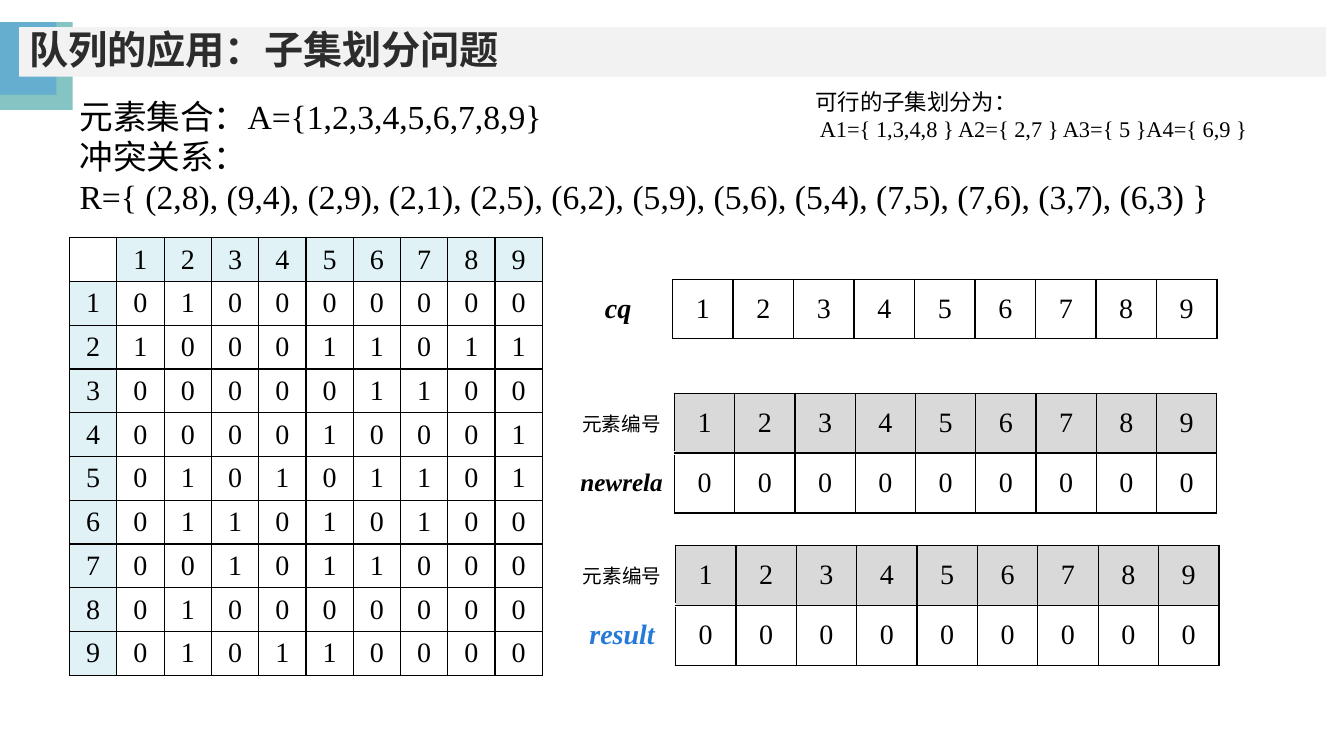
from lxml.etree import SubElement
from pptx import Presentation
from pptx.dml.color import RGBColor
from pptx.enum.shapes import MSO_SHAPE
from pptx.enum.text import MSO_ANCHOR, MSO_AUTO_SIZE, PP_ALIGN
from pptx.oxml.ns import qn
from pptx.util import Inches, Pt

TITLE = "队列的应用：子集划分问题"
CONFLICTS = [(2, 8), (9, 4), (2, 9), (2, 1), (2, 5), (6, 2), (5, 9),
             (5, 6), (5, 4), (7, 5), (7, 6), (3, 7), (6, 3)]
ELEMENTS = list(range(1, 10))
ZEROS = [0] * len(ELEMENTS)
PROBLEM = [
    "元素集合：A={" + ",".join(map(str, ELEMENTS)) + "}",
    "冲突关系：",
    "R={ " + ", ".join(f"({a},{b})" for a, b in CONFLICTS) + " }",
]
SOLUTION = ["可行的子集划分为：", " A1={ 1,3,4,8 } A2={ 2,7 } A3={ 5 }A4={ 6,9 }"]
SERIF = "Times New Roman"
BLACK, WHITE, PALE, GREY, BLUE = "000000", "FFFFFF", "E0F2F5", "D9D9D9", "2679D9"
CORNERS = [((0, 0.22, 0.72, 0.87), "84C4C3"), ((0, 0.22, 0.56, 0.72), "65AECF")]
NOTES = [((0.69, 0.9, 11.48, 1.31), PROBLEM, 24), ((7.99, 0.83, 5.1, 0.64), SOLUTION, 16)]
NUMBER_LABEL = ("元素编号", 14, False, BLACK)
ARRAYS = [
    ((5.64, 5.41, 6.45, 1.19), 1.06, [
        (NUMBER_LABEL, ELEMENTS, GREY), (("result", 20, True, BLUE), ZEROS, WHITE)]),
    ((5.64, 3.9, 6.43, 1.19), 1.05, [
        (NUMBER_LABEL, ELEMENTS, GREY), (("newrela", 18, True, BLACK), ZEROS, WHITE)]),
    ((5.59, 2.77, 6.48, 0.59), 1.08, [
        (("cq", 20, True, BLACK), ELEMENTS, WHITE)]),
]


def paint(target, color):
    target.solid()
    target.fore_color.rgb = RGBColor.from_string(color)


def style(paragraph, size, color=BLACK, font=SERIF, bold=False, italic=False):
    for run in paragraph.runs:
        run.font.name = font
        run.font.size = Pt(size)
        run.font.bold = bold
        run.font.italic = italic
        paint(run.font.fill, color)


def set_borders(cell, borders):
    properties = cell._tc.get_or_add_tcPr()
    for position, (side, (color, width)) in enumerate(zip("LRTB", borders)):
        line = SubElement(properties, qn(f"a:ln{side}"), w=str(Pt(width)))
        fill = SubElement(line, qn("a:solidFill"))
        SubElement(fill, qn("a:srgbClr"), val=color)
        properties.insert(position, line)


def fill_cell(cell, value, fill, size=20, emphasis=False, color=BLACK, borders=None):
    cell.text_frame.text = str(value)
    cell.vertical_anchor = MSO_ANCHOR.MIDDLE
    paragraph = cell.text_frame.paragraphs[0]
    paragraph.alignment = PP_ALIGN.CENTER
    style(paragraph, size, color, bold=emphasis, italic=emphasis)
    paint(cell.fill, fill)
    set_borders(cell, borders or [(BLACK, 1)] * 4)


def add_grid(shapes, box, row_count, first_width):
    columns = len(ELEMENTS) + 1
    table = shapes.add_table(row_count, columns, *map(Inches, box)).table
    for row in table.rows:
        row.height = Inches(box[3] / row_count)
    for index, column in enumerate(table.columns):
        width = (box[2] - first_width) / len(ELEMENTS) if index else first_width
        column.width = Inches(width)
    return table


def add_matrix(shapes):
    box = (0.69, 2.36, 4.69, 4.33)
    headings = [""] + ELEMENTS
    table = add_grid(shapes, box, len(headings), box[2] / len(headings))
    for r, row_element in enumerate(headings):
        for c, column_element in enumerate(headings):
            if r and c:
                pair = (row_element, column_element)
                value = int(pair in CONFLICTS or pair[::-1] in CONFLICTS)
            else:
                value = column_element if r == 0 else row_element
            fill_cell(table.cell(r, c), value, PALE if (r == 0) != (c == 0) else WHITE)


def add_array(shapes, box, label_width, rows):
    table = add_grid(shapes, box, len(rows), label_width)
    for r, ((label, size, emphasis, color), values, fill) in enumerate(rows):
        borders = [(WHITE, 1), (BLACK, 1), (WHITE, 1), (WHITE, 1 if r else 3)]
        fill_cell(table.cell(r, 0), label, WHITE, size, emphasis, color, borders)
        for c, value in enumerate(values, 1):
            fill_cell(table.cell(r, c), value, fill)


def add_note(shapes, box, lines, size):
    frame = shapes.add_textbox(*map(Inches, box)).text_frame
    frame.word_wrap = True
    frame.auto_size = MSO_AUTO_SIZE.SHAPE_TO_FIT_TEXT
    frame.text = "\n".join(lines)
    for paragraph in frame.paragraphs:
        style(paragraph, size)


def add_title(shapes):
    title = shapes.title
    shapes._spTree.append(title._element)
    title.left, title.top, title.width, title.height = map(Inches, (0.19, 0.27, 12.96, 0.49))
    paint(title.fill, "F2F2F2")
    frame = title.text_frame
    frame.text = TITLE
    frame.auto_size = MSO_AUTO_SIZE.NONE
    frame.vertical_anchor = MSO_ANCHOR.MIDDLE
    paragraph = frame.paragraphs[0]
    paragraph.alignment = PP_ALIGN.LEFT
    paragraph.line_spacing = 0.9
    style(paragraph, 28, "2C2C2C", "Arial", bold=True)


def main():
    deck = Presentation()
    deck.slide_width, deck.slide_height = Inches(13.33), Inches(7.5)
    shapes = deck.slides.add_slide(deck.slide_layouts[5]).shapes
    for box, color in CORNERS:
        corner = shapes.add_shape(MSO_SHAPE.RECTANGLE, *map(Inches, box))
        corner.shadow.inherit = False
        paint(corner.fill, color)
        corner.line.fill.background()
    add_title(shapes)
    for note in NOTES:
        add_note(shapes, *note)
    add_matrix(shapes)
    for array in ARRAYS:
        add_array(shapes, *array)
    deck.save("out.pptx")


if __name__ == "__main__":
    main()
